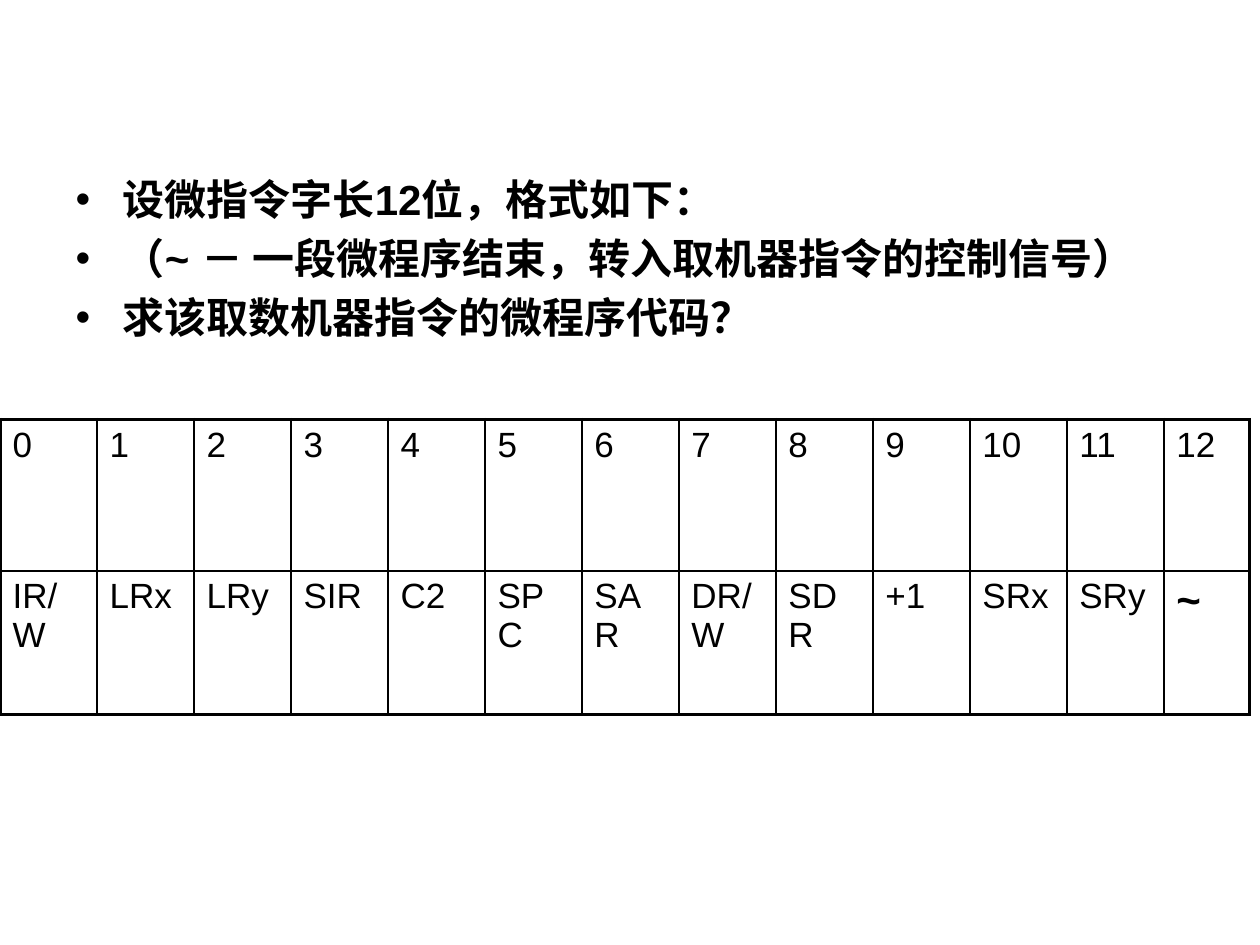
from dataclasses import dataclass

from lxml import etree
from pptx import Presentation
from pptx.dml.color import RGBColor
from pptx.enum.text import MSO_ANCHOR, MSO_AUTO_SIZE
from pptx.oxml.ns import qn
from pptx.util import Inches, Pt

TOP = MSO_ANCHOR.TOP
FIXED = MSO_AUTO_SIZE.NONE


@dataclass(frozen=True)
class Theme:
    ink: str = "000000"
    sans: str = "Arial"
    serif: str = "Times New Roman"
    large: int = 24
    small: int = 20
    thin: float = 1
    thick: float = 2.25
    gap: float = 0.2


THEME = Theme()
WIDE, HIGH = 10, 7.5
COLS = [0.77] * 12 + [0.68]
ROWS = [1.2, 1.14]
LINES = [
    ("设微指令字长12位，格式如下：", THEME.sans),
    ("（~ － 一段微程序结束，转入取机器指令的控制信号）", THEME.sans),
    ("求该取数机器指令的微程序代码？", THEME.serif),
]
SIGNALS = ["IR/W", "LRx", "LRy", "SIR", "C2", "SPC", "SAR",
           "DR/W", "SDR", "+1", "SRx", "SRy", "~"]
FIELDS = [[str(bit) for bit in range(len(SIGNALS))], SIGNALS]


def add_run(para, text, size, face, bold=False):
    run = para.add_run()
    run.text = text
    font = run.font
    font.name, font.size, font.bold = face, Pt(size), bold
    font.color.rgb = RGBColor.from_string(THEME.ink)


def fill_body(body):
    body.left, body.top = Inches(0.05 * WIDE), Inches(1.33)
    body.width, body.height = Inches(0.925 * WIDE), Inches(0.66 * HIGH)
    frame = body.text_frame
    frame.word_wrap, frame.auto_size = True, FIXED
    frame.vertical_anchor = TOP
    for idx, (text, face) in enumerate(LINES):
        para = frame.add_paragraph() if idx else frame.paragraphs[0]
        para.space_before = Pt(THEME.gap * THEME.large if idx else 0)
        add_run(para, text, THEME.large, face, True)


def add_edge(cell, side, outer):
    width = Pt(THEME.thick if outer else THEME.thin)
    props = cell._tc.get_or_add_tcPr()
    line = etree.SubElement(props, qn("a:ln" + side), w=str(width))
    fill = etree.SubElement(line, qn("a:solidFill"))
    etree.SubElement(fill, qn("a:srgbClr"), val=THEME.ink)


def fill_cell(cell, text, outer):
    for side, edge in outer.items():
        add_edge(cell, side, edge)
    cell.fill.background()
    cell.vertical_anchor = TOP
    para = cell.text_frame.paragraphs[0]
    para.space_before = Pt(0)
    mark = text == "~"
    add_run(para, text, THEME.large if mark else THEME.small, THEME.sans, mark)


def add_grid(slide):
    frame = slide.shapes.add_table(
        len(ROWS), len(COLS), Inches(0), Inches(3.33),
        Inches(sum(COLS)), Inches(sum(ROWS)))
    table = frame.table
    table.first_row = table.horz_banding = False
    for col, width in zip(table.columns, COLS):
        col.width = Inches(width)
    for row, height in zip(table.rows, ROWS):
        row.height = Inches(height)
    for y, words in enumerate(FIELDS):
        for x, text in enumerate(words):
            outer = {"L": x == 0, "R": x == len(COLS) - 1,
                     "T": y == 0, "B": y == len(ROWS) - 1}
            fill_cell(table.cell(y, x), text, outer)


def main():
    deck = Presentation()
    deck.slide_width, deck.slide_height = Inches(WIDE), Inches(HIGH)
    slide = deck.slides.add_slide(deck.slide_layouts[1])
    title = slide.shapes.title.element
    title.getparent().remove(title)
    fill_body(slide.placeholders[1])
    add_grid(slide)
    deck.save("out.pptx")


if __name__ == "__main__":
    main()
